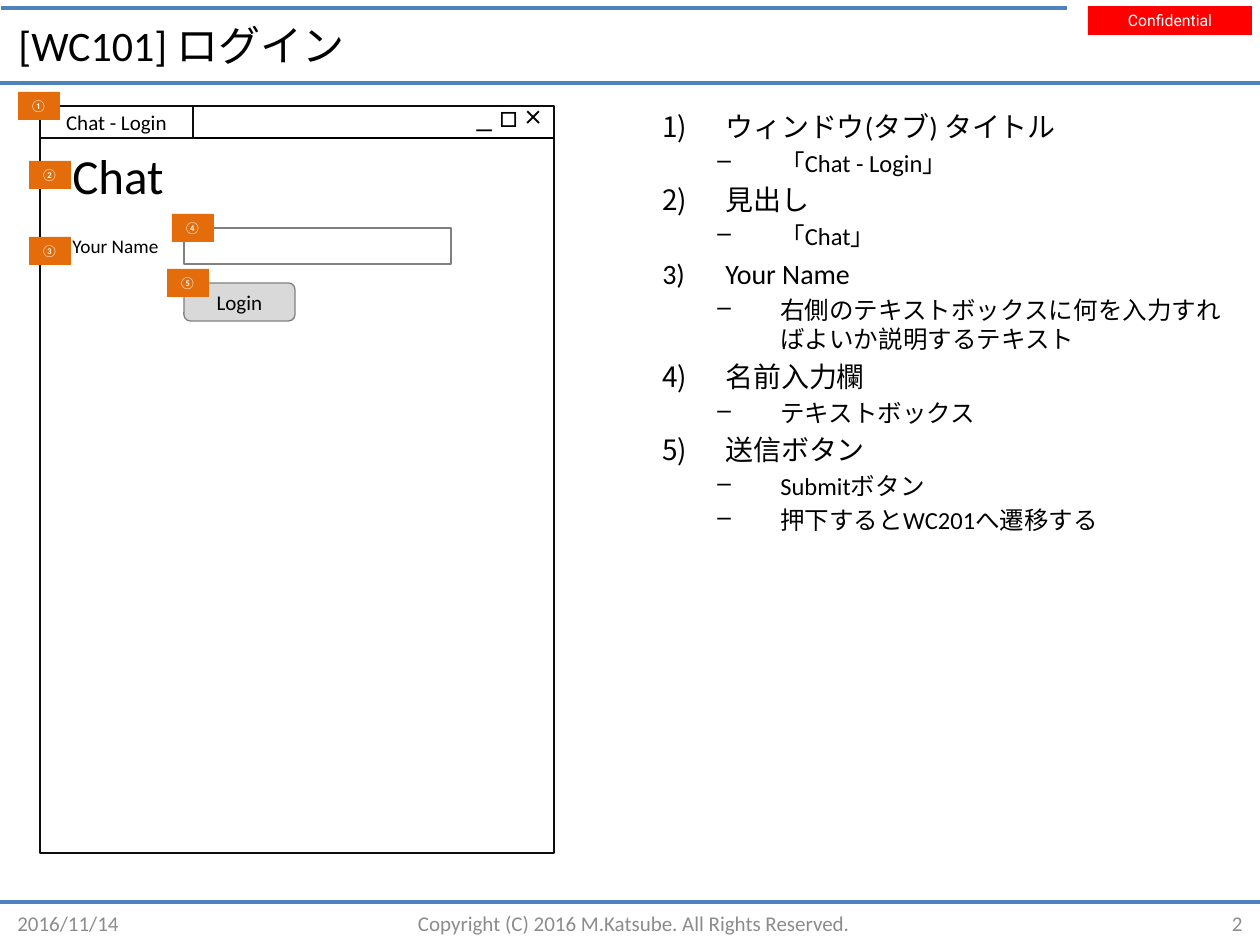
import dataclasses

import lxml.etree
import pptx
import pptx.dml.color
import pptx.enum.shapes
import pptx.enum.text
import pptx.oxml.ns
import pptx.util

SHAPE = pptx.enum.shapes.MSO_SHAPE
ALIGN = pptx.enum.text.PP_ALIGN
ANCHOR = pptx.enum.text.MSO_ANCHOR
GROW = pptx.enum.text.MSO_AUTO_SIZE.SHAPE_TO_FIT_TEXT
EMU_PER_PX = 914400 / 126


@dataclasses.dataclass(frozen=True)
class Theme:
    font: str = "Calibri"
    label_font: str = "Roboto"
    text: str = "000000"
    light: str = "FFFFFF"
    rule: str = "4F81BD"
    alert: str = "FF0000"
    muted: str = "8C8C8C"
    frame: str = "0D0D0D"
    control: str = "808080"
    button: str = "D9D9D9"
    badge: str = "E46C0A"
    title_pt: int = 24
    item_pt: int = 16
    detail_pt: int = 14
    heading_pt: int = 28
    symbols_pt: int = 18
    ui_pt: int = 12
    field_pt: int = 11
    label_pt: int = 9
    badge_pt: int = 7


def px(n):
    return pptx.util.Emu(round(n * EMU_PER_PX))


def rgb(value):
    return pptx.dml.color.RGBColor.from_string(value)


def add_xml(parent, tag, **attrs):
    return lxml.etree.SubElement(parent, pptx.oxml.ns.qn(tag), attrs)


class SlideBuilder:
    def __init__(self, slide, theme):
        self.shapes = slide.shapes
        self.theme = theme

    def add_run(self, p, text, size, color=None, font=None):
        r = p.add_run()
        r.text = text
        values = {"name": font or self.theme.font, "size": pptx.util.Pt(size)}
        for name, value in values.items():
            setattr(r.font, name, value)
        r.font.color.rgb = rgb(color or self.theme.text)

    def fill_frame(self, sp, text, size, color=None, font=None,
                   align=ALIGN.LEFT, **frame):
        tf = sp.text_frame
        for name, value in {"word_wrap": True, **frame}.items():
            setattr(tf, name, value)
        tf.paragraphs[0].alignment = align
        self.add_run(tf.paragraphs[0], text, size, color, font)

    def text(self, box, text, size, **style):
        sp = self.shapes.add_textbox(*map(px, box))
        self.fill_frame(sp, text, size, **style)

    def shape(self, box, fill, line=None, kind=SHAPE.RECTANGLE):
        sp = self.shapes.add_shape(kind, *map(px, box))
        sp.shadow.inherit = False
        sp.fill.solid()
        sp.fill.fore_color.rgb = rgb(fill)
        if line:
            sp.line.color.rgb = rgb(line)
            sp.line.width = pptx.util.Pt(0.75)
        else:
            sp.line.fill.background()
        return sp

    def badge(self, left, top, number):
        sp = self.shape((left, top, 42, 28), self.theme.badge)
        self.fill_frame(sp, number, self.theme.badge_pt, self.theme.light,
                        word_wrap=False, auto_size=GROW,
                        vertical_anchor=ANCHOR.TOP)

    def rule(self, x1, x2, y, color, width):
        line = self.shapes.add_connector(
            pptx.enum.shapes.MSO_CONNECTOR.STRAIGHT, *map(px, (x1, y, x2, y)))
        line.line.color.rgb = rgb(color)
        line.line.width = pptx.util.Pt(width)
        add_xml(line._element.spPr, "a:effectLst")

    def outline(self, box, items):
        """Numbered items, each followed by its dashed details."""
        tf = self.shapes.add_textbox(*map(px, box)).text_frame
        tf.word_wrap = True
        rows = []
        for item, details in items:
            rows.append((0, item))
            rows += [(1, detail) for detail in details]
        for i, (level, text) in enumerate(rows):
            p = tf.add_paragraph() if i else tf.paragraphs[0]
            p.level = level
            pPr = p._p.get_or_add_pPr()
            pPr.set("marL", str(px((63, 118)[level])))
            pPr.set("indent", str(px(-63)))
            add_xml(add_xml(pPr, "a:spcBef"), "a:spcPct", val="20000")
            if level:
                add_xml(pPr, "a:buChar", char="–")
            else:
                add_xml(pPr, "a:buAutoNum", type="arabicParenR")
            self.add_run(p, text,
                         self.theme.detail_pt if level else self.theme.item_pt)


ITEMS = [
    ("ウィンドウ(タブ) タイトル", ["「Chat - Login」"]),
    ("見出し", ["「Chat」"]),
    ("Your Name",
     ["右側のテキストボックスに何を入力すればよいか説明するテキスト"]),
    ("名前入力欄", ["テキストボックス"]),
    ("送信ボタン", ["Submitボタン", "押下するとWC201へ遷移する"]),
]
FOOTER = [
    (5, 178, "2016/11/14", ALIGN.LEFT),
    (217, 834, "Copyright (C) 2016 M.Katsube. All Rights Reserved.",
     ALIGN.CENTER),
    (1089, 166, "2", ALIGN.RIGHT),
]
BADGES = [(18, 92, "①"), (29, 161, "②"), (29, 237, "③"),
          (172, 214, "④"), (167, 269, "⑤")]


def add_page_frame(s, t):
    for x1, x2, y in [(0, 1260, 83), (0, 1260, 902), (1, 1067, 8)]:
        s.rule(x1, x2, y, t.rule, 2)
    margins = {f"margin_{side}": px(5)
               for side in ("left", "top", "right", "bottom")}
    s.fill_frame(s.shape((1088, 6, 164, 29), t.alert), "Confidential",
                 t.label_pt, t.light, t.label_font, ALIGN.CENTER,
                 auto_size=GROW, **margins)
    s.text((6, 15, 1027, 59), "[WC101] ログイン", t.title_pt,
           vertical_anchor=ANCHOR.MIDDLE)
    for left, width, text, align in FOOTER:
        s.text((left, 911, width, 25), text, t.ui_pt, color=t.muted,
               align=align, vertical_anchor=ANCHOR.MIDDLE)


def add_login_window(s, t):
    centered = {"align": ALIGN.CENTER, "vertical_anchor": ANCHOR.MIDDLE}
    fitted = {"word_wrap": False, "auto_size": GROW}
    s.shape((40, 106, 514, 747), t.light, t.frame)
    s.fill_frame(s.shape((40, 106, 153, 32), t.light, t.frame),
                 "Chat - Login", t.ui_pt, **centered)
    s.rule(193, 554, 138, t.text, 1)
    s.text((464, 90, 91, 50), "_ □ ×", t.symbols_pt,
           vertical_anchor=ANCHOR.MIDDLE, **fitted)
    s.text((60, 139, 118, 72), "Chat", t.heading_pt, **fitted)
    s.text((60, 228, 113, 36), "Your Name", t.field_pt, **fitted)
    s.shape((184, 228, 267, 36), t.light, t.control)
    s.fill_frame(s.shape((184, 283, 111, 38), t.button, t.control,
                         SHAPE.ROUNDED_RECTANGLE),
                 "Login", t.ui_pt, **centered)
    for badge in BADGES:
        s.badge(*badge)


def main():
    prs = pptx.Presentation()
    prs.slide_width, prs.slide_height = px(1260), px(945)
    theme = Theme()
    s = SlideBuilder(prs.slides.add_slide(prs.slide_layouts[6]), theme)
    add_page_frame(s, theme)
    s.outline((650, 103, 595, 766), ITEMS)
    add_login_window(s, theme)
    prs.save("out.pptx")


if __name__ == "__main__":
    main()
